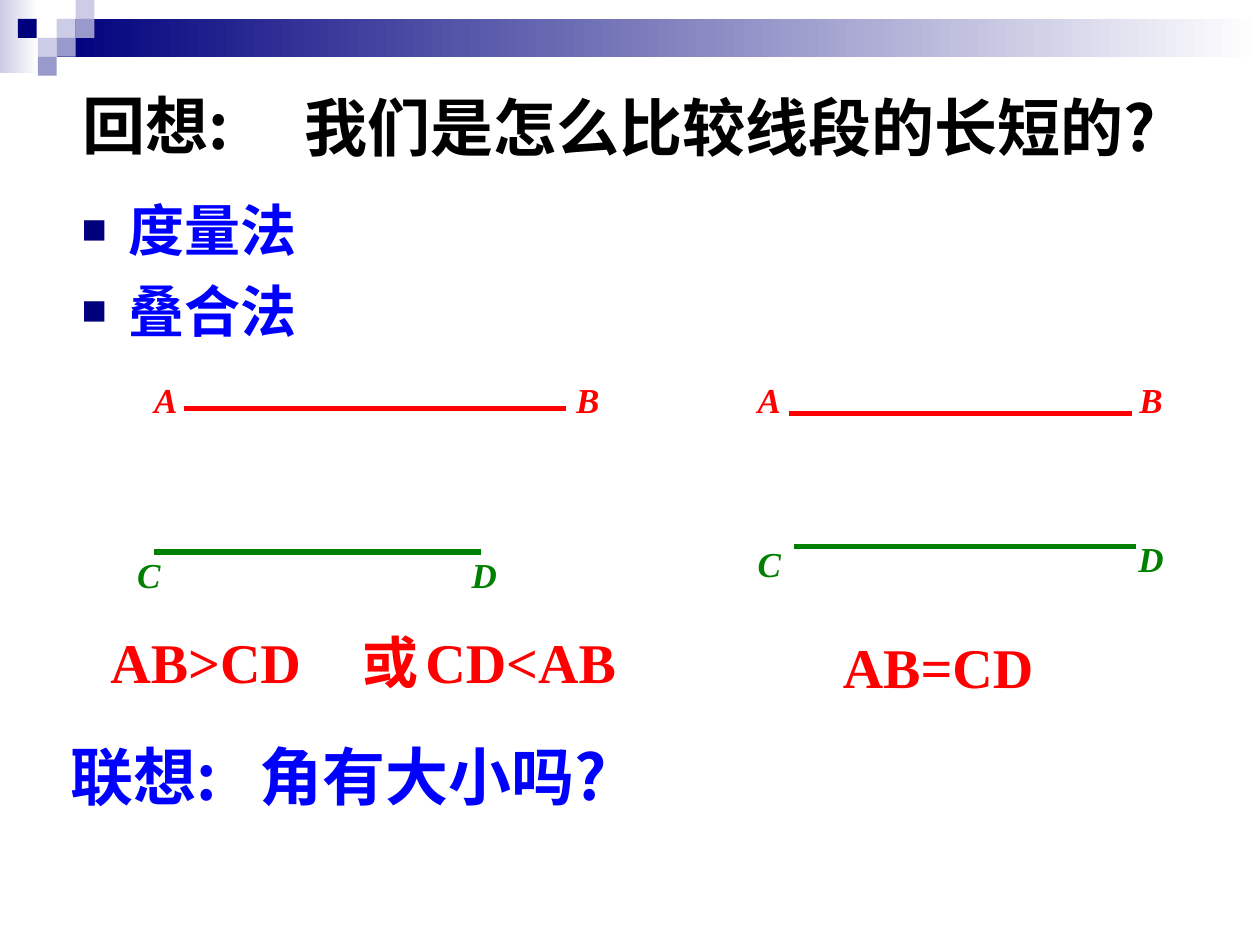
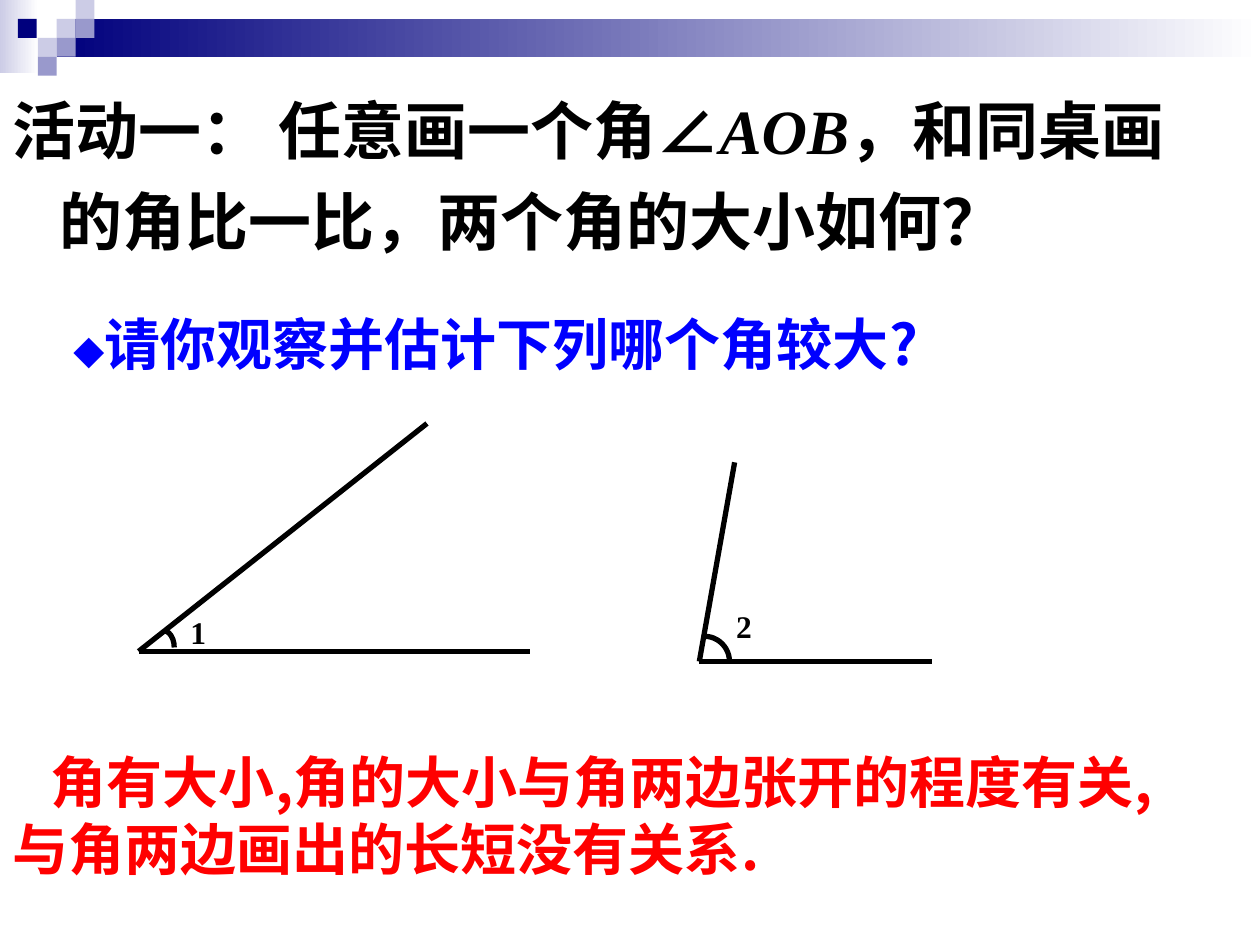
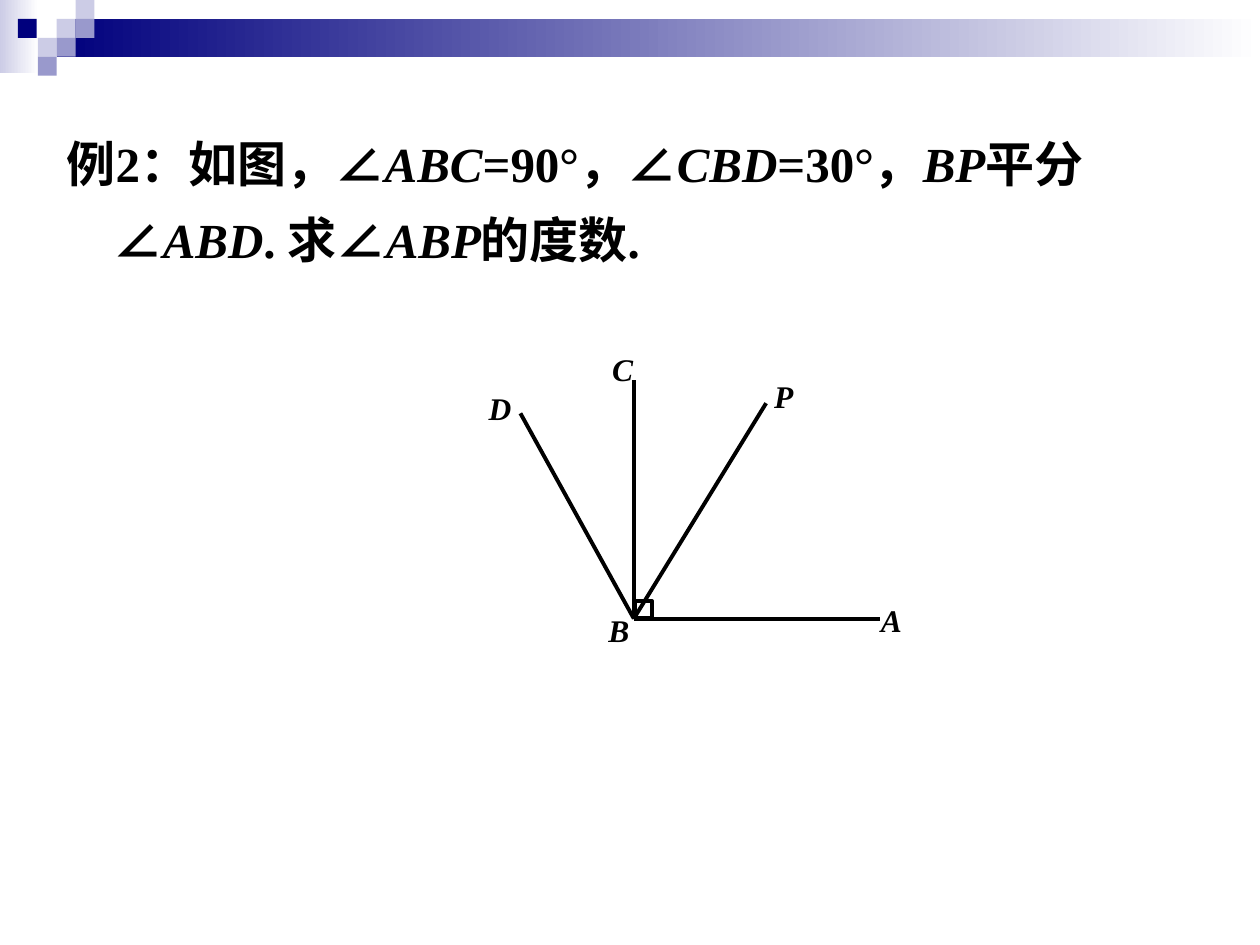
from dataclasses import dataclass
from lxml import etree
from pptx import Presentation
from pptx.dml.color import RGBColor
from pptx.enum import shapes, text
from pptx.oxml.ns import qn
from pptx.util import Pt


@dataclass(frozen=True)
class Theme:
    navy: str = "00007D"
    lilac: str = "9999CC"
    pale: str = "CCCCE6"
    white: str = "FFFFFF"
    black: str = "000000"
    blue: str = "0000FF"
    red: str = "FF0000"
    green: str = "008000"
    cjk: str = "Noto Sans CJK SC"
    sans: str = "Arial"
    serif: str = "Times New Roman"
    heading: int = 36
    body: int = 32
    problem: int = 28
    point: int = 20
    label: int = 18


T = Theme()
LEFT, CENTER = text.PP_ALIGN.LEFT, text.PP_ALIGN.CENTER


def add_text(sp, paragraphs, size, color, align=LEFT, margin=0, indent=0,
             spacing=None, tabs=(), bullet=None):
    """Fill sp with bold paragraphs, each a list of (text, font, italic[, size]) runs."""
    tf = sp.text_frame
    tf.word_wrap = True
    tf.auto_size = text.MSO_AUTO_SIZE.NONE
    for i, runs in enumerate(paragraphs):
        p = tf.add_paragraph() if i else tf.paragraphs[0]
        pPr = p._p.get_or_add_pPr()
        pPr.set("marL", str(Pt(margin)))
        pPr.set("indent", str(Pt(indent)))
        if bullet:
            clr = etree.SubElement(pPr, qn("a:buClr"))
            etree.SubElement(clr, qn("a:srgbClr"), val=T.navy)
            etree.SubElement(pPr, qn("a:buSzPct"), val="75000")
            etree.SubElement(pPr, qn("a:buFont"), typeface=T.sans)
            etree.SubElement(pPr, qn("a:buChar"), char=bullet)
        if tabs:
            stops = etree.SubElement(pPr, qn("a:tabLst"))
            for pos in tabs:
                etree.SubElement(stops, qn("a:tab"), pos=str(Pt(pos)), algn="l")
        p.alignment = align
        if spacing:
            p.line_spacing = spacing
        if i:
            p.space_before = Pt(8)
        for words, font, italic, *own_size in runs:
            r = p.add_run()
            r.text = words
            r.font.size = Pt(own_size[0] if own_size else size)
            r.font.bold, r.font.italic = True, italic
            r.font.color.rgb = RGBColor.from_string(color)
            r.font.name = font
            latin = r.font._element.find(qn("a:latin"))
            latin.addnext(etree.Element(qn("a:ea"), typeface=T.cjk))


def add_line(s, x1, y1, x2, y2, color=T.black, width=3):
    ln = s.shapes.add_connector(shapes.MSO_CONNECTOR.STRAIGHT, Pt(x1), Pt(y1), Pt(x2), Pt(y2))
    ln.line.color.rgb = RGBColor.from_string(color)
    ln.line.width = Pt(width)
    etree.SubElement(ln._element.spPr, qn("a:effectLst"))


prs = Presentation()
prs.slide_width, prs.slide_height = Pt(720), Pt(540)
title_only, blank = prs.slide_layouts[5], prs.slide_layouts[6]

# Slide 1: comparing segments
s = prs.slides.add_slide(title_only)

# Band and squares, moved to the master so that every slide shows them
cell = 10.8
band = [
    (0, 0, 22, 42, (T.pale, T.white)),
    (32.4, cell, 687.6, 2 * cell, (T.navy, T.white)),
    (10.2, cell, cell, cell, (T.navy,)),
]
for col, row, color in [(4, 0, T.pale), (3, 1, T.pale), (4, 1, T.lilac), (2, 2, T.pale),
                        (3, 2, T.lilac), (2, 3, T.lilac)]:
    band.append((col * cell, row * cell, cell, cell, (color,)))
master_tree = prs.slide_master.shapes.element
for i, (x, y, w, h, colors) in enumerate(band):
    sp = s.shapes.add_shape(shapes.MSO_SHAPE.RECTANGLE, Pt(x), Pt(y), Pt(w), Pt(h))
    sp.shadow.inherit = False
    sp.line.fill.background()
    if len(colors) == 2:
        sp.fill.gradient()
        sp.fill.gradient_angle = 0
        for stop, color in zip(sp.fill.gradient_stops, colors):
            stop.color.rgb = RGBColor.from_string(color)
    else:
        sp.fill.solid()
        sp.fill.fore_color.rgb = RGBColor.from_string(colors[0])
    master_tree.insert(2 + i, sp.element)

title = s.shapes.title
title.left, title.top, title.width, title.height = Pt(167), Pt(18), Pt(527), Pt(108)
title.text_frame.vertical_anchor = text.MSO_ANCHOR.MIDDLE
add_text(title, [[("我们是怎么比较线段的长短的?", T.cjk, False)]], T.heading, T.black)

sp = s.shapes.add_textbox(Pt(0), Pt(46), Pt(178.5), Pt(50))
add_text(sp, [[("回想:", T.cjk, False)]], T.heading, T.black, CENTER)
sp = s.shapes.add_textbox(Pt(39.6), Pt(108), Pt(572), Pt(119))
add_text(sp, [[(method, T.sans, False)] for method in ("度量法", "叠合法")],
         T.body, T.blue, margin=27, indent=-27, bullet="■")

for x1, x2, y, color in [(105, 323.3, 233.3, T.red), (87.8, 275, 315.4, T.green),
                         (450.7, 646.6, 236.2, T.red), (453.6, 649.4, 312.5, T.green)]:
    add_line(s, x1, y, x2, y, color)
for name, center, y, color in [
    ("A", 94.7, 213, T.red), ("B", 335.9, 213, T.red),
    ("C", 85, 312.5, T.green), ("D", 276.8, 312.5, T.green),
    ("A", 439.6, 213, T.red), ("B", 657.7, 213, T.red),
    ("C", 439.6, 306.7, T.green), ("D", 657.7, 303.8, T.green),
]:
    sp = s.shapes.add_textbox(Pt(center - 20), Pt(y), Pt(40), Pt(31.7))
    add_text(sp, [[(name, T.serif, True)]], T.point, color, CENTER)

for words, font, x, y, w, size, color, tabs in [
    ("AB>CD\t或\tCD<AB", T.serif, 56, 355, 341, T.body, T.red, (132, 187.5)),
    ("AB=CD", T.serif, 474.5, 358, 192, T.body, T.red, ()),
    ("联想:\t角有大小吗?", T.cjk, 33, 417.6, 393, T.heading, T.blue, (118,)),
]:
    sp = s.shapes.add_textbox(Pt(x), Pt(y), Pt(w), Pt(48))
    add_text(sp, [[(words, font, False)]], size, color, tabs=tabs)

# Slide 2: estimating angles
s = prs.slides.add_slide(blank)
sp = s.shapes.add_textbox(Pt(0), Pt(40.3), Pt(689), Pt(119))
add_text(sp, [[("活动一： 任意画一个角", T.cjk, False), ("∠", T.sans, False), ("AOB", T.serif, True),
               ("，和同桌画\t的角比一比，两个角的大小如何？", T.sans, False)]],
         T.heading, T.black, margin=27, indent=-27, spacing=1.2, tabs=(88.5,))
sp = s.shapes.add_textbox(Pt(28), Pt(173.5), Pt(510.5), Pt(46))
add_text(sp, [[("◆", T.sans, False, T.label), ("请你观察并估计下列哪个角较大?", T.cjk, False)]],
         T.body, T.blue, CENTER)

for name, vertex, base_end, ray_end, arc_center, rx, ry, label in [
    ("1", (79.2, 372.2), 303.1, (244, 242), (93.6, 370), 6, 9.5, (87.8, 347)),
    ("2", (399.6, 378), 532.8, (419.8, 264.2), (402.5, 378), 14.4, 14.4, (399.6, 343.4)),
]:
    add_line(s, *vertex, base_end, vertex[1])
    add_line(s, *vertex, *ray_end)
    arc = s.shapes.add_shape(shapes.MSO_SHAPE.ARC, Pt(arc_center[0] - rx), Pt(arc_center[1] - ry),
                             Pt(2 * rx), Pt(2 * ry))
    arc.shadow.inherit = False
    arc.fill.background()
    arc.line.color.rgb = RGBColor.from_string(T.black)
    arc.line.width = Pt(3)
    sp = s.shapes.add_textbox(Pt(label[0]), Pt(label[1]), Pt(51), Pt(29))
    add_text(sp, [[(name, T.serif, False)]], T.label, T.black, CENTER)

sp = s.shapes.add_textbox(Pt(0), Pt(423.4), Pt(697.7), Pt(84))
add_text(sp, [[("角有大小,角的大小与角两边张开的程度有关,与角两边画出的长短没有关系.", T.cjk, False)]],
         T.body, T.red, indent=22)

# Slide 3: worked example
s = prs.slides.add_slide(blank)
sp = s.shapes.add_textbox(Pt(31), Pt(62.6), Pt(663), Pt(101.5))
pieces = ["例2：如图，∠", "ABC", "=90°，∠", "CBD", "=30°，", "BP", "平分∠", "ABD", ". 求∠", "ABP", "的度数."]
add_text(sp, [[(piece, T.serif, i % 2 == 1) for i, piece in enumerate(pieces)]],
         T.problem, T.black, margin=27, indent=-27, spacing=1.3)

for name, x, y in [("A", 496.3, 339.8), ("B", 340.6, 345.6), ("C", 342.7, 196.6),
                   ("D", 272.2, 218.9), ("P", 435.3, 211.7)]:
    sp = s.shapes.add_textbox(Pt(x), Pt(y), Pt(45), Pt(40))
    add_text(sp, [[(name, T.serif, True)]], T.label, T.black)
vertex_b = (362.2, 353.5)
for end in [(362.2, 217.4), (502.6, 353.5), (297.4, 236.2), (437.8, 230.4)]:
    add_line(s, *vertex_b, *end, width=2.25)
right_angle = s.shapes.add_shape(shapes.MSO_SHAPE.RECTANGLE, Pt(362.9), Pt(343.4), Pt(9.6), Pt(9.6))
right_angle.shadow.inherit = False
right_angle.fill.background()
right_angle.line.color.rgb = RGBColor.from_string(T.black)
right_angle.line.width = Pt(2.25)

prs.save("out.pptx")
